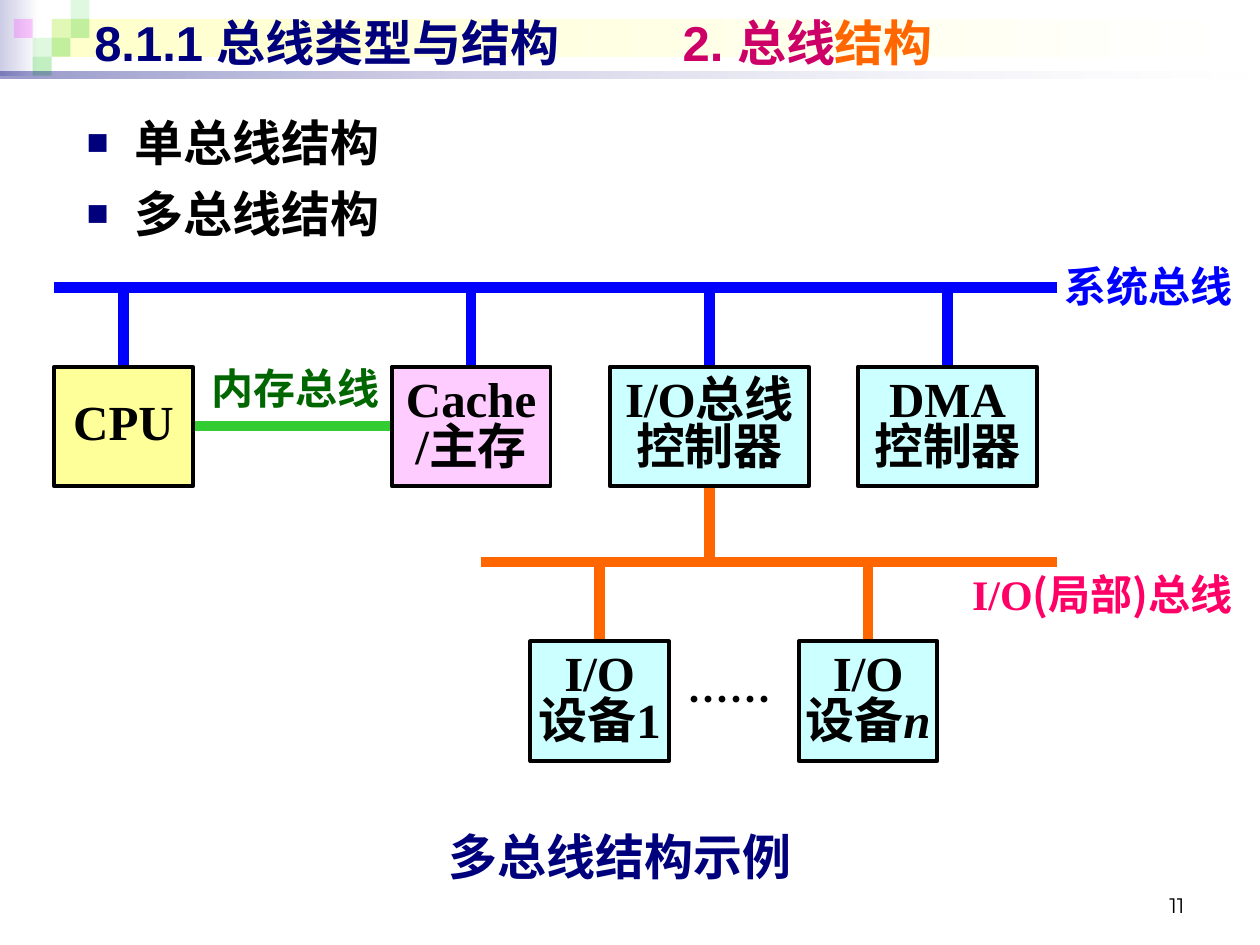
from lxml import etree
from pptx import Presentation
from pptx import util as u
from pptx.dml import color
from pptx.enum import shapes, text
from pptx.oxml import ns

LEFT, CENTER, RIGHT = text.PP_ALIGN.LEFT, text.PP_ALIGN.CENTER, text.PP_ALIGN.RIGHT
MIDDLE, TOP, BOTTOM = text.MSO_ANCHOR.MIDDLE, text.MSO_ANCHOR.TOP, text.MSO_ANCHOR.BOTTOM
SERIF, SANS, CJK = "Times New Roman", "Arial", "Noto Sans CJK SC"
NAVY, BLUE, ORANGE, GREEN = "00007D", "0000FF", "FF6600", "33CC33"
BLACK, WHITE, CYAN = "000000", "FFFFFF", "CCFFFF"


def rgb(value):
    return color.RGBColor.from_string(value)


def sub(parent, tag, **attrs):
    return etree.SubElement(parent, ns.qn(tag), attrs)


def set_alpha(fill_element, percents):
    for clr, percent in zip(fill_element.iter(ns.qn("a:srgbClr")), percents):
        sub(clr, "a:alpha", val=str(percent * 1000))


class Deck:
    """Holds the text style and the current slide."""

    font, size, bold = SERIF, 28, True

    def __init__(self, prs):
        self.s = prs.slides.add_slide(prs.slide_layouts[6])

    def rect(self, x, y, w, h):
        sp = self.s.shapes.add_shape(shapes.MSO_SHAPE.RECTANGLE, *map(u.Inches, (x, y, w, h)))
        sp.shadow.inherit = False
        sp.line.fill.background()
        return sp

    def tint(self, x, y, w, h, fill, alpha):
        sp = self.rect(x, y, w, h)
        sp.fill.solid()
        sp.fill.fore_color.rgb = rgb(fill)
        set_alpha(sp._element.spPr.find(ns.qn("a:solidFill")), [alpha])

    def fade(self, x, y, w, h, fill, alphas=(100, 100)):
        """Rectangle that fades from the colour at the left to white."""
        sp = self.rect(x, y, w, h)
        sp.fill.gradient()
        sp.fill.gradient_angle = 180
        for stop, value in zip(sp.fill.gradient_stops, (WHITE, fill)):
            stop.color.rgb = rgb(value)
        set_alpha(sp._element.spPr.find(ns.qn("a:gradFill")), alphas)

    def line(self, x1, y1, x2, y2, value):
        ln = self.s.shapes.add_connector(
            shapes.MSO_CONNECTOR.STRAIGHT, *map(u.Inches, (x1, y1, x2, y2)))
        ln.line.color.rgb = rgb(value)
        ln.line.width = u.Pt(6)
        sub(ln._element.spPr, "a:effectLst")

    def box(self, x, y, w, h, fill, paragraphs):
        sp = self.rect(x, y, w, h)
        sp.fill.solid()
        sp.fill.fore_color.rgb = rgb(fill)
        sp.line.color.rgb = rgb(BLACK)
        sp.line.width = u.Pt(2.25)
        self.fill_text(sp.text_frame, paragraphs, BLACK, CENTER, MIDDLE, wrap=False)
        for p in sp.text_frame.paragraphs:
            p.line_spacing = 0.8

    def label(self, x, y, w, h, paragraphs, value=BLACK, align=LEFT, anchor=TOP, **style):
        tf = self.s.shapes.add_textbox(*map(u.Inches, (x, y, w, h))).text_frame
        self.fill_text(tf, paragraphs, value, align, anchor, **style)
        return tf

    def fill_text(self, tf, paragraphs, value, align, anchor, wrap=True, **style):
        """Each paragraph is a list of (text, style changes); \\v breaks a line."""
        tf.word_wrap = wrap
        tf.vertical_anchor = anchor
        for i, runs in enumerate(paragraphs):
            p = tf.add_paragraph() if i else tf.paragraphs[0]
            p.alignment = align
            for words, change in runs:
                for j, part in enumerate(words.split("\v")):
                    if j:
                        p.add_line_break()
                    r = p.add_run()
                    r.text = part
                    self.style_run(r, **{"value": value, **style, **change})

    def style_run(self, r, value, size=None, font=None, bold=None, italic=None):
        r.font.size = u.Pt(size or self.size)
        r.font.bold = self.bold if bold is None else bold
        r.font.italic = italic
        r.font.color.rgb = rgb(value)
        r.font.name = font or self.font
        sub(r._r.get_or_add_rPr(), "a:ea", typeface=CJK)

    def bullet(self, p, value):
        pPr = p._p.get_or_add_pPr()
        pPr.set("marL", str(u.Inches(0.38)))
        pPr.set("indent", str(u.Inches(-0.38)))
        sub(sub(pPr, "a:buClr"), "a:srgbClr", val=value)
        sub(pPr, "a:buSzPct", val="75000")
        sub(pPr, "a:buFont", typeface=SANS)
        sub(pPr, "a:buChar", char="■")


def plain(*lines):
    return [[(line, {})] for line in lines]


def main():
    prs = Presentation()
    prs.slide_width, prs.slide_height = u.Inches(10), u.Inches(7.5)
    deck = Deck(prs)

    # Header band with its mosaic of squares
    deck.fade(0, 0, 0.31, 0.6, "CCCCE6")
    deck.fade(0.41, 0.15, 9.55, 0.3, "FFFFCC")
    cell = 0.15
    for col, row, value, alpha in [
            (2, 1, GREEN, 15), (3, 0, GREEN, 15), (3, 1, GREEN, 30), (1, 2, GREEN, 15),
            (0, 1, "FF00FF", 20), (2, 2, GREEN, 30), (1, 3, GREEN, 30)]:
        deck.tint(0.11 + col * cell, row * cell, cell, cell, value, alpha)
    deck.fade(0, 0.57, 10, 0.05, NAVY, (10, 40))

    # Title, with a tab before its second part
    title = deck.label(0.65, 0.05, 9.24, 0.57, [[
        ("8.1.1 总线类型与结构\t", {}),
        ("2. 总线", {"value": "CC0066"}),
        ("结构", {"value": ORANGE})]], NAVY, anchor=MIDDLE, font=SANS)
    tabs = sub(title.paragraphs[0]._p.get_or_add_pPr(), "a:tabLst")
    sub(tabs, "a:tab", pos=str(u.Inches(4.67)), algn="l")

    # Bullet list
    body = deck.label(0.59, 0.84, 8.66, 1.26, plain("单总线结构", "多总线结构"))
    for p in body.paragraphs:
        deck.bullet(p, NAVY)
    body.paragraphs[1].space_before = u.Pt(7)

    # Buses
    system_y, io_y, upper_y, lower_y, box_h = 2.28, 4.46, 2.91, 5.09, 0.95
    deck.line(3.82, io_y, 8.39, io_y, ORANGE)
    deck.line(0.43, system_y, 8.39, system_y, BLUE)
    deck.line(1.53, 3.38, 3.11, 3.38, GREEN)
    deck.line(5.63, io_y, 5.63, upper_y + box_h, ORANGE)

    # Units, each hung from its bus by a stub at the centre
    upper = [
        (0.43, 1.1, "FFFF99", plain("CPU")),
        (3.11, 1.26, "FFCCFF", plain("Cache", "/主存")),
        (4.84, 1.58, CYAN, plain("I/O总线\v控制器")),
        (6.81, 1.42, CYAN, plain("DMA\v控制器"))]
    lower = [
        (4.21, 1.1, CYAN, plain("I/O\v设备1")),
        (6.34, 1.1, CYAN, [[("I/O\v设备", {}), ("n", {"italic": True})]])]
    for units, bus_y, top, value in [
            (upper, system_y, upper_y, BLUE), (lower, io_y, lower_y, ORANGE)]:
        for x, w, fill, words in units:
            deck.line(x + w / 2, top, x + w / 2, bus_y, value)
            deck.box(x, top, w, box_h, fill, words)

    # Labels
    deck.label(7.28, 4.46, 2.6, 0.5, [[
        ("I/O", {}), ("(", {"font": CJK}), ("局部", {}), (")", {"font": CJK}),
        ("总线", {})]], "FF0066", RIGHT, size=24)
    deck.label(1.38, 2.83, 1.73, 0.5, plain("内存总线"), "006600", RIGHT, size=24)
    deck.label(8.15, 2.02, 1.73, 0.5, plain("系统总线"), BLUE, RIGHT, size=24)
    deck.label(5.24, 5.3, 1.1, 0.5, plain("……"), BLACK, CENTER, size=24, font=CJK)
    deck.label(1.14, 6.51, 7.56, 0.57, plain("多总线结构示例"), NAVY, CENTER)

    # Page number
    deck.label(7.17, 6.83, 2.33, 0.5, plain("11"), BLACK, RIGHT, BOTTOM,
               size=12, font="Montserrat", bold=False)

    prs.save("out.pptx")


if __name__ == "__main__":
    main()
